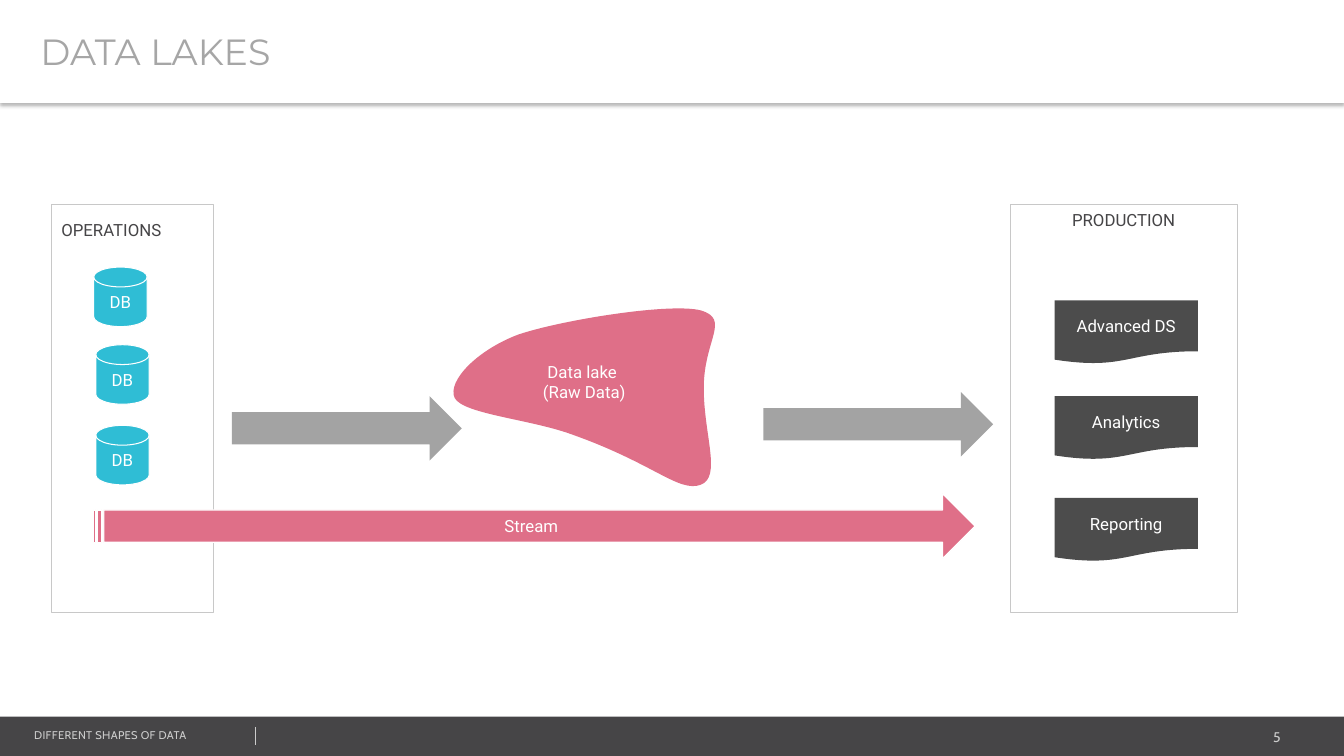
from dataclasses import dataclass

from lxml import etree
from pptx import Presentation
from pptx.dml.color import RGBColor
from pptx.enum.shapes import MSO_CONNECTOR, MSO_SHAPE
from pptx.enum.text import MSO_ANCHOR, MSO_AUTO_SIZE, PP_ALIGN
from pptx.oxml import parse_xml
from pptx.oxml.ns import qn
from pptx.util import Inches, Pt

RECT, DISK, DOC = MSO_SHAPE.RECTANGLE, MSO_SHAPE.FLOWCHART_MAGNETIC_DISK, MSO_SHAPE.FLOWCHART_DOCUMENT
ARROW, STRIPED = MSO_SHAPE.RIGHT_ARROW, MSO_SHAPE.STRIPED_RIGHT_ARROW
STRAIGHT = MSO_CONNECTOR.STRAIGHT
TOP, MIDDLE = MSO_ANCHOR.TOP, MSO_ANCHOR.MIDDLE
LEFT, CENTER, RIGHT = PP_ALIGN.LEFT, PP_ALIGN.CENTER, PP_ALIGN.RIGHT
NO_FIT = MSO_AUTO_SIZE.NONE


@dataclass(frozen=True)
class Theme:
    """Colours, fonts and type sizes of the deck."""
    white: str = "FFFFFF"
    dark: str = "464547"
    document: str = "4C4C4C"
    muted: str = "CCCCCC"
    title: str = "A6A6A6"
    border: str = "C8C8C8"
    arrow: str = "A3A3A3"
    blue: str = "2FBDD5"
    pink: str = "DF6F88"
    head_font: str = "Montserrat"
    body_font: str = "Roboto"
    foot_font: str = "Cabin"
    title_pt: int = 26
    body_pt: int = 12
    number_pt: int = 10
    foot_pt: int = 8


T = Theme()
SHADOW = (
    '<a:effectLst xmlns:a="http://schemas.openxmlformats.org/drawingml/2006/main">'
    '<a:outerShdw blurRad="39370" dist="25400" dir="5400000" algn="t" rotWithShape="0">'
    '<a:srgbClr val="000000"><a:alpha val="30000"/></a:srgbClr>'
    '</a:outerShdw></a:effectLst>'
)
LAKE_START = (0.01, 0.89)
LAKE_CURVES = [
    ((-0.07, 0.72), (0.24, 0.41), (0.64, 0.26)),
    ((1.05, 0.12), (2.14, -0.06), (2.45, 0.02)),
    ((2.75, 0.11), (2.48, 0.31), (2.48, 0.79)),
    ((2.48, 1.26), (2.66, 1.67), (2.45, 1.75)),
    ((2.23, 1.83), (1.99, 1.54), (1.17, 1.25)),
    ((0.76, 1.10), (0.10, 1.05), (0.01, 0.89)),
]


def rgb(color):
    """Return a colour object for a hex string."""
    return RGBColor.from_string(color)


def write(s, lines, color=T.white, size=T.body_pt, font=T.body_font, align=CENTER, anchor=MIDDLE):
    """Write one paragraph per line into a shape."""
    tf = s.text_frame
    tf.word_wrap = True
    tf.auto_size = NO_FIT
    tf.vertical_anchor = anchor
    for i, line in enumerate(lines):
        p = tf.add_paragraph() if i else tf.paragraphs[0]
        p.alignment = align
        r = p.add_run()
        r.text = line
        r.font.size, r.font.name = Pt(size), font
        r.font.color.rgb = rgb(color)
    return tf


def paint(s, fill=None, line=None):
    """Set the fill and outline of a shape and remove its shadow."""
    s.shadow.inherit = False
    if fill:
        s.fill.solid()
        s.fill.fore_color.rgb = rgb(fill)
    else:
        s.fill.background()
    if line:
        s.line.color.rgb = rgb(line)
        s.line.width = Pt(0.75)
    else:
        s.line.fill.background()


def shape(sl, kind, x, y, w, h, fill=None, line=None):
    """Add a painted preset shape."""
    s = sl.shapes.add_shape(kind, Inches(x), Inches(y), Inches(w), Inches(h))
    paint(s, fill, line)
    return s


def textbox(sl, x, y, w, h, text, **style):
    """Add a one-line text box."""
    s = sl.shapes.add_textbox(Inches(x), Inches(y), Inches(w), Inches(h))
    return write(s, [text], anchor=TOP, **style)


def header(sl, x, y, w, h, text):
    """Place the title as a white band with a soft shadow."""
    s = sl.shapes.title
    s.left, s.top, s.width, s.height = Inches(x), Inches(y), Inches(w), Inches(h)
    s.fill.solid()
    s.fill.fore_color.rgb = rgb(T.white)
    s.line.fill.background()
    s._element.spPr.append(parse_xml(SHADOW))
    tf = write(s, [text], T.title, T.title_pt, T.head_font, LEFT)
    tf.margin_left = Inches(0.4)


def footer(sl, x, y, w, h, text, number):
    """Draw the dark bar with the deck name, divider and page number."""
    shape(sl, RECT, x, y, w, h, T.dark)
    textbox(sl, x + 10.62, y + 0.07, 2.18, 0.27, number, color=T.muted,
            size=T.number_pt, font=T.foot_font, align=RIGHT)
    tf = textbox(sl, x + 0.24, y + 0.07, 3.38, 0.24, text, color=T.muted,
                 size=T.foot_pt, font=T.foot_font, align=LEFT)
    tf.paragraphs[0].runs[0].font._element.set("spc", "20")
    c = sl.shapes.add_connector(STRAIGHT, Inches(x + 2.53), Inches(y + 0.1),
                                Inches(x + 2.53), Inches(y + 0.28))
    c.line.color.rgb = rgb(T.muted)
    c.line.width = Pt(0.25)
    etree.SubElement(c._element.spPr, qn("a:effectLst"))


def operations(sl, x, y, w, h):
    """Draw the operations panel with its databases."""
    shape(sl, RECT, x, y, w, h, line=T.border)
    tf = textbox(sl, x, y + 0.1, 1.25, 0.3, "OPERATIONS", color=T.dark, align=LEFT)
    tf.word_wrap = False
    for dx, dy in [(0.42, 0.62), (0.44, 1.39), (0.44, 2.19)]:
        write(shape(sl, DISK, x + dx, y + dy, 0.53, 0.59, T.blue, T.white), ["DB"])


def production(sl, x, y, w, h):
    """Draw the production panel with its outputs."""
    write(shape(sl, RECT, x, y, w, h, line=T.border), ["PRODUCTION"], T.dark, anchor=TOP)
    for dy, name in [(0.95, "Advanced DS"), (1.9, "Analytics"), (2.91, "Reporting")]:
        write(shape(sl, DOC, x + 0.44, y + dy, 1.42, 0.63, T.document), [name])


def add_step(outline, tag, points):
    """Append one drawing step to a freeform outline."""
    step = etree.SubElement(outline, qn(tag))
    for px, py in points:
        etree.SubElement(step, qn("a:pt"), x=str(Inches(px)), y=str(Inches(py)))


def lake(sl, x, y, w, h):
    """Draw the curved data lake with its label."""
    fb = sl.shapes.build_freeform(Inches(x), Inches(y))
    fb.add_line_segments([(Inches(x + w), Inches(y + h))], close=True)
    s = fb.convert_to_shape()
    outline = next(s._element.iter(qn("a:path")))
    for step in list(outline):
        outline.remove(step)
    add_step(outline, "a:moveTo", [LAKE_START])
    for curve in LAKE_CURVES:
        add_step(outline, "a:cubicBezTo", curve)
    add_step(outline, "a:close", [])
    paint(s, T.pink)
    write(s, ["Data lake ", "(Raw Data)"]).margin_bottom = Inches(0.35)


def flows(sl, x, y):
    """Draw the batch arrows and the stream arrow below them."""
    write(shape(sl, STRIPED, x, y + 1.01, 8.74, 0.64, T.pink, T.white), ["Stream"])
    for dx, dy in [(1.37, 0.04), (6.64, 0)]:
        shape(sl, ARROW, x + dx, y + dy, 2.28, 0.64, T.arrow)


def main():
    """Build and save the slide."""
    prs = Presentation()
    prs.slide_width, prs.slide_height = Inches(13.33), Inches(7.5)
    sl = prs.slides.add_slide(prs.slide_layouts[5])
    footer(sl, 0, 7.11, 13.33, 0.4, "DIFFERENT SHAPES OF DATA", "5")
    header(sl, 0, 0, 13.33, 1.02, "DATA LAKES")
    operations(sl, 0.51, 2.03, 1.61, 4.05)
    production(sl, 10.02, 2.03, 2.25, 4.05)
    lake(sl, 4.5, 3.06, 2.59, 1.76)
    flows(sl, 0.93, 3.89)
    prs.save("out.pptx")


if __name__ == "__main__":
    main()
